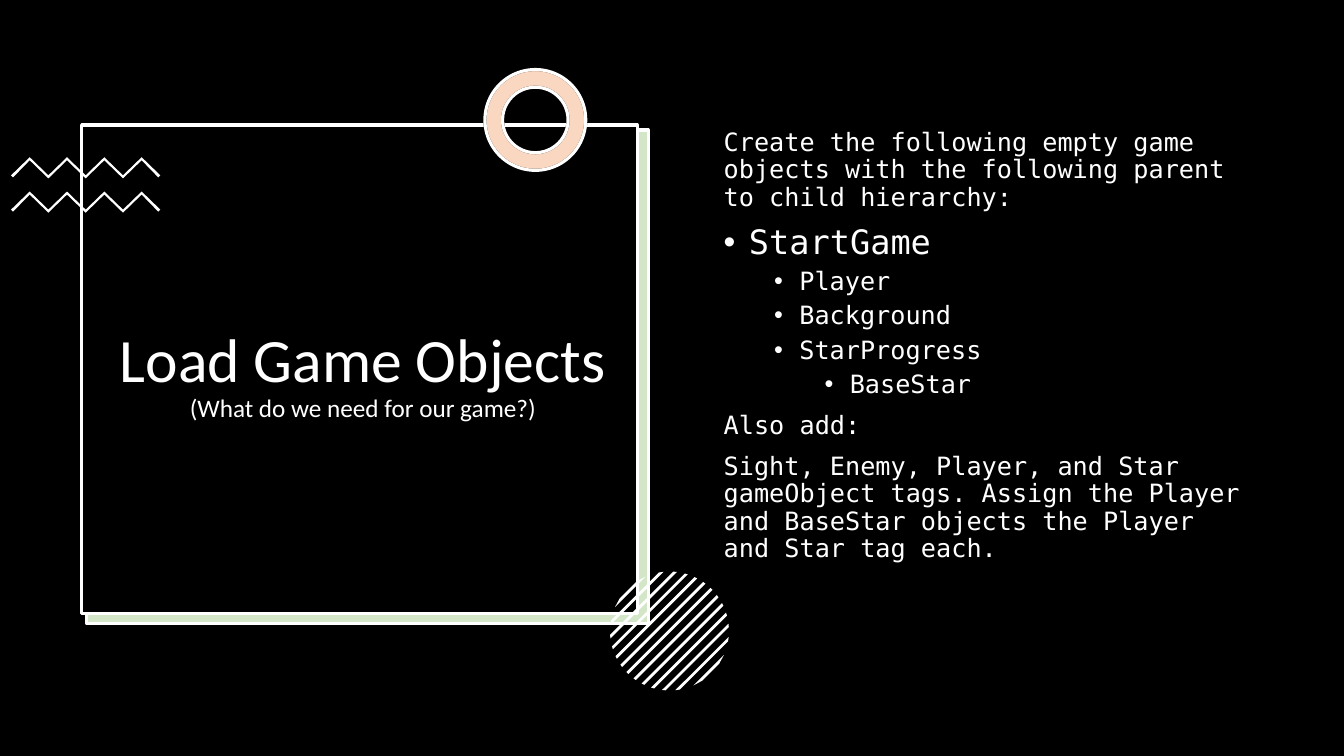
from math import sqrt
from lxml import etree
from pptx import Presentation
from pptx.dml.color import RGBColor
from pptx.enum.shapes import MSO_SHAPE
from pptx.enum.text import MSO_ANCHOR, PP_ALIGN
from pptx.oxml.ns import qn
from pptx.util import Inches, Pt

RECT, RING = MSO_SHAPE.RECTANGLE, MSO_SHAPE.DONUT
MIDDLE, CENTER = MSO_ANCHOR.MIDDLE, PP_ALIGN.CENTER
WHITE, BLACK, GREEN, ORANGE = "FFFFFF", "000000", "70AD47", "ED7D31"
SANS, MONO = "Calibri", "DejaVu Sans Mono"


def color(code):
    return RGBColor.from_string(code)


def assign(target, values):
    for name, value in values.items():
        setattr(target, name, value)


def paint(shape, fill, line=None, alpha=None):
    shape.shadow.inherit = False
    shape.fill.solid()
    shape.fill.fore_color.rgb = color(fill)
    if alpha:
        tint = shape.fill._xPr.find(qn("a:solidFill"))[0]
        etree.SubElement(tint, qn("a:alpha"), val=str(alpha * 1000))
    if line:
        shape.line.color.rgb = color(line)
        shape.line.width = Pt(2.25)
    else:
        shape.line.fill.background()


def add_shape(slide, kind, box, *style):
    shape = slide.shapes.add_shape(kind, *map(Inches, box))
    paint(shape, *style)
    return shape


def outline(group, points):
    dots = [(Inches(x), Inches(y)) for x, y in points]
    pen = group.shapes.build_freeform(*dots[0], scale=1.0)
    pen.add_line_segments(dots[1:], close=True)
    paint(pen.convert_to_shape(), WHITE)


def add_text(slide, box):
    frame = slide.shapes.add_textbox(*map(Inches, box)).text_frame
    frame.word_wrap = True
    return frame


def add_run(para, text, size, font):
    run = para.add_run()
    run.text = text
    assign(run.font, {"size": Pt(size), "name": font})
    run.font.color.rgb = color(WHITE)


def frame_panel(slide, box):
    """Title panel: offset green backing, then the black front."""
    x, y, w, h = box
    back = w + 0.06, h + 0.05
    add_shape(slide, RECT, (x + 0.04, y + 0.06, *back), WHITE)
    add_shape(slide, RECT, (x + 0.05, y + 0.05, *back), GREEN, WHITE, 30)
    add_shape(slide, RECT, box, BLACK, WHITE)


def zigzags(slide, box):
    """Two zigzag bands, each a top edge and a lower edge."""
    x, y, w, h = box
    group = slide.shapes.add_group_shape()
    step, band = w / 8, 0.21
    for top in (y, y + h - band):
        upper = [(x + k * step, top + (0 if k % 2 else 0.18))
                 for k in range(9)]
        lower = [(px, py + 0.03) for px, py in upper[7:0:-1]]
        ends = [(x + w - 0.02, top + 0.2), (x + 0.02, top + 0.2)]
        outline(group, upper + ends[:1] + lower + ends[1:])


def ring(slide, box):
    """White ring under a tinted one."""
    for style in ((WHITE, BLACK), (ORANGE, WHITE, 30)):
        add_shape(slide, RING, box, *style).adjustments[0] = 0.175


def striped_disc(slide, box):
    """Diagonal stripes whose ends lie on a circle."""
    x, y, w, h = box
    radius, half, gap = w / 2, 0.014, 0.094
    mid_x, mid_y = x + radius, y + h / 2
    group = slide.shapes.add_group_shape()

    def chord(dist):
        reach = sqrt(radius ** 2 - dist ** 2)
        return [(mid_x + (dist + s) / sqrt(2), mid_y + (dist - s) / sqrt(2))
                for s in (reach, -reach)]

    for k in range(-6, 7):
        outline(group, chord(k * gap - half) + chord(k * gap + half)[::-1])


def title(slide, box):
    frame = add_text(slide, box)
    frame.vertical_anchor = MIDDLE
    para = frame.paragraphs[0]
    assign(para, {"alignment": CENTER, "line_spacing": 0.9})
    add_run(para, "Load Game Objects", 44, SANS)
    para.add_line_break()
    add_run(para, "(What do we need for our game?)", 18, SANS)


def steps(slide, box, items):
    """Plain lines have depth None; bullets indent by depth."""
    frame = add_text(slide, box)
    for i, (depth, size, text) in enumerate(items):
        para = frame.add_paragraph() if i else frame.paragraphs[0]
        assign(para, {"level": depth or 0, "line_spacing": 0.9,
                      "space_before": Pt(5 if depth else 10)})
        add_run(para, text, size, MONO)
        if depth is not None:
            props = para._p.get_or_add_pPr()
            props.set("marL", str(Inches(0.25 + 0.5 * depth)))
            props.set("indent", str(Inches(-0.25)))
            etree.SubElement(props, qn("a:buFont"), typeface="Arial")
            etree.SubElement(props, qn("a:buChar"), char="•")


ITEMS = [
    (None, 18, "Create the following empty game objects with the following "
               "parent to child hierarchy:"),
    (0, 24, "StartGame"),
    (1, 18, "Player"),
    (1, 18, "Background"),
    (1, 18, "StarProgress"),
    (2, 18, "BaseStar"),
    (None, 18, "Also add:"),
    (None, 18, "Sight, Enemy, Player, and Star gameObject tags. Assign the "
               "Player and BaseStar objects the Player and Star tag each."),
]

deck = Presentation()
assign(deck, {"slide_width": Inches(13.33), "slide_height": Inches(7.5)})
page = deck.slides.add_slide(deck.slide_layouts[6])
page.background.fill.solid()
page.background.fill.fore_color.rgb = color(BLACK)

frame_panel(page, (0.81, 1.24, 5.51, 4.85))
zigzags(page, (0.11, 1.56, 1.48, 0.55))
ring(page, (4.81, 0.69, 1, 1))
striped_disc(page, (6.05, 5.67, 1.18, 1.18))
title(page, (0.92, 1.52, 5.36, 4.42))
steps(page, (7.08, 1.24, 5.44, 4.76), ITEMS)
deck.save("out.pptx")
